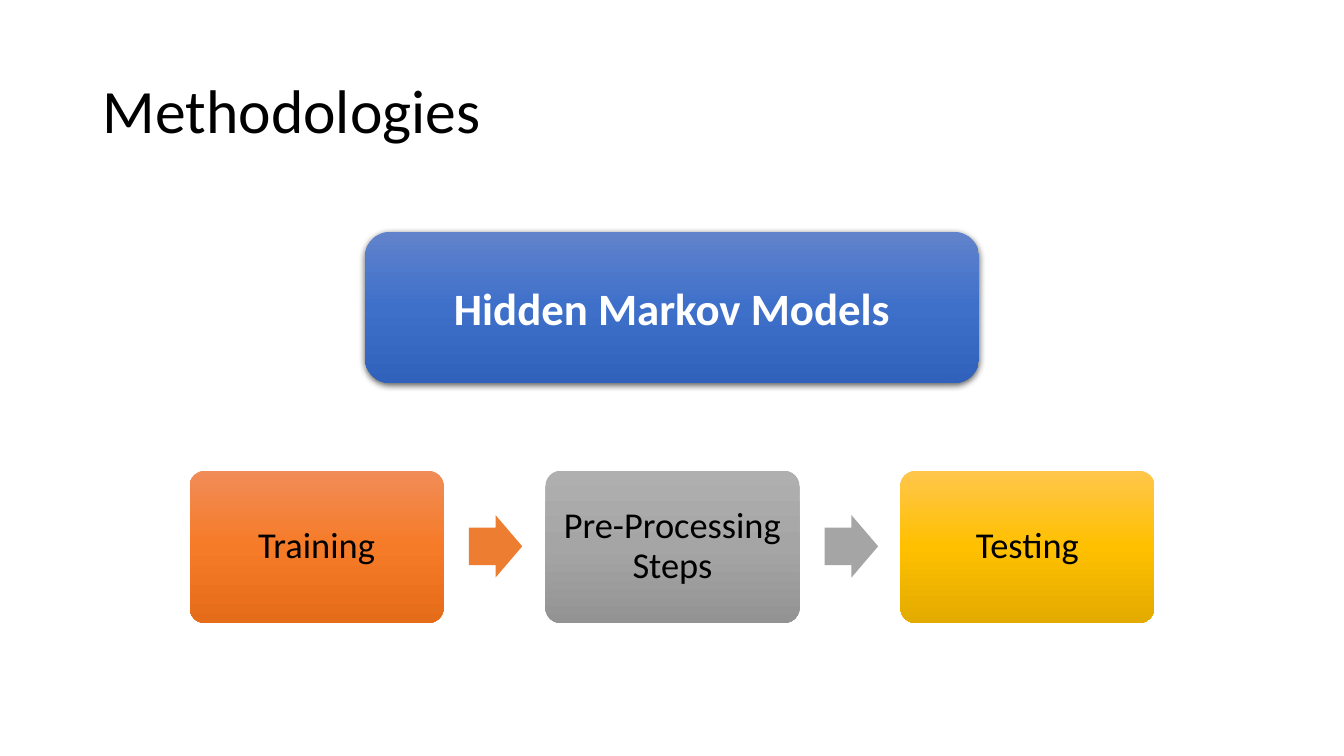
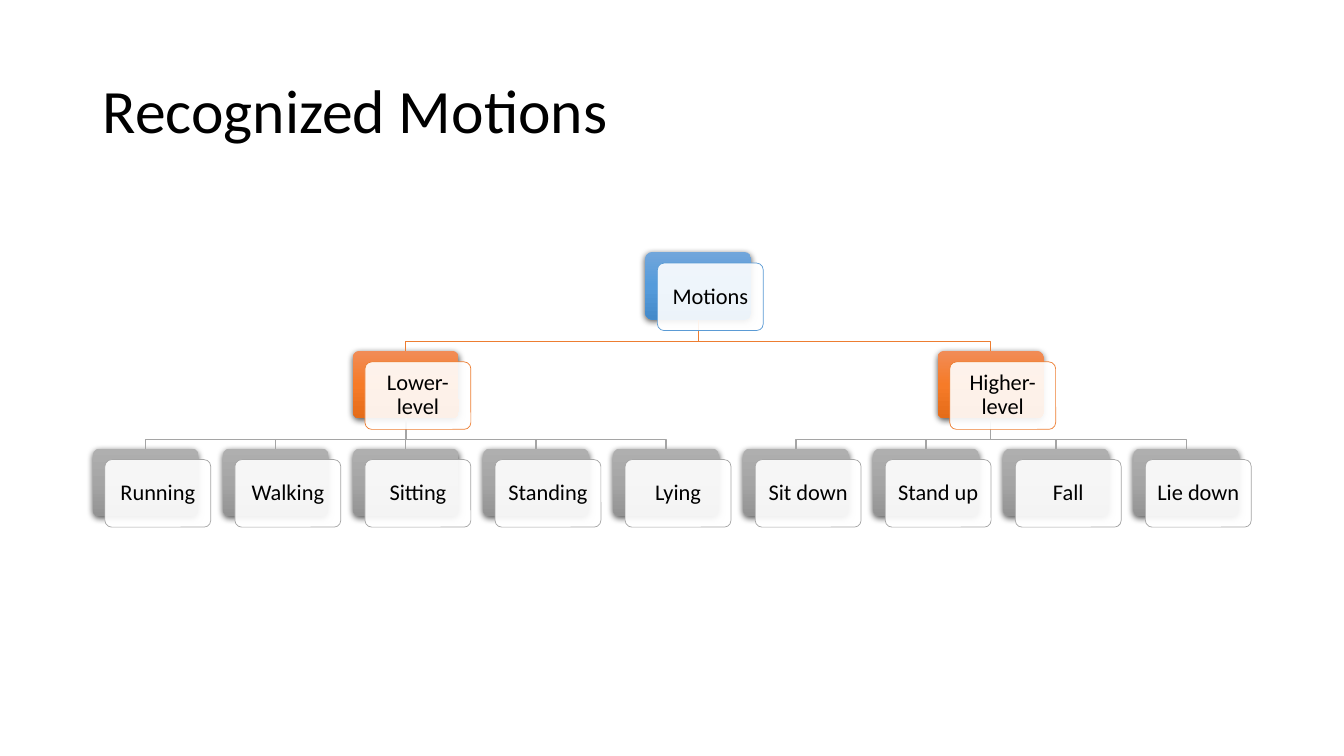
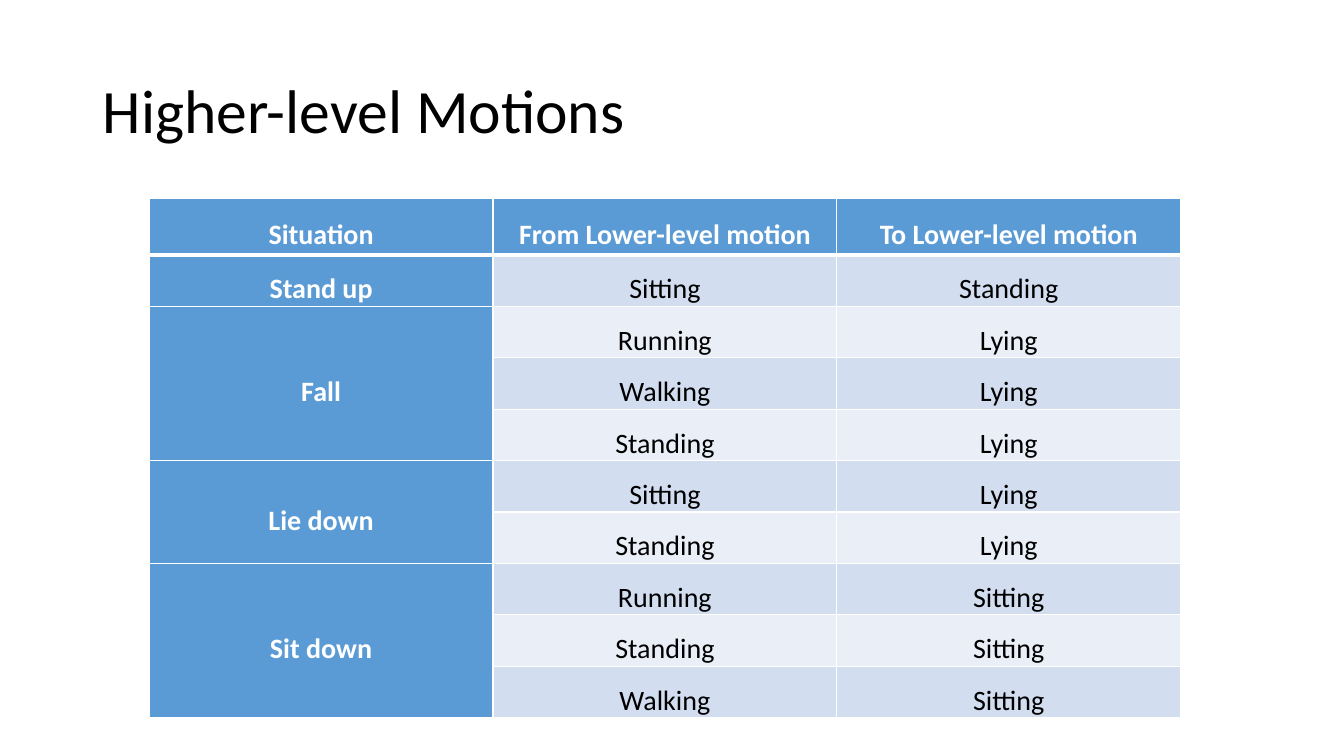
from lxml import etree
from pptx import Presentation
from pptx.dml.color import RGBColor
from pptx.enum.shapes import MSO_CONNECTOR, MSO_SHAPE
from pptx.enum.text import MSO_ANCHOR, PP_ALIGN
from pptx.oxml.ns import qn
from pptx.util import Pt

PX = 9144  # EMU per px, 100 px to the inch
FONT = "Calibri"
LEFT, CENTER = PP_ALIGN.LEFT, PP_ALIGN.CENTER
MIDDLE = MSO_ANCHOR.MIDDLE
ROUND, ARROW = MSO_SHAPE.ROUNDED_RECTANGLE, MSO_SHAPE.RIGHT_ARROW
STRAIGHT = MSO_CONNECTOR.STRAIGHT
TOP, BOTTOM = 0, 2

COLORS = {
    "black": "000000", "white": "FFFFFF",
    "blue": "5B9BD5", "orange": "ED7D31", "gray": "A5A5A5",
    "band": "D2DEEF", "pale": "EAEFF7",
}
GRADS = {
    "navy": ("6183CB", "3E70CA", "3062BB"),
    "blue": ("71A6DB", "559BDB", "448ACA"),
    "orange": ("F18C57", "F67B28", "E56C19"),
    "gray": ("AFAFAF", "A5A5A5", "939393"),
    "gold": ("FFC64B", "FFC000", "E3AB00"),
}

STEPS = [("Training", "orange"), ("Pre-Processing Steps", "gray"),
         ("Testing", "gold")]
MOTIONS = {
    "Lower-level": ["Running", "Walking", "Sitting", "Standing", "Lying"],
    "Higher-level": ["Sit down", "Stand up", "Fall", "Lie down"],
}
HEADS = ["Situation", "From Lower-level motion", "To Lower-level motion"]
CASES = {
    "Stand up": [("Sitting", "Standing")],
    "Fall": [("Running", "Lying"), ("Walking", "Lying"),
             ("Standing", "Lying")],
    "Lie down": [("Sitting", "Lying"), ("Standing", "Lying")],
    "Sit down": [("Running", "Sitting"), ("Standing", "Sitting"),
                 ("Walking", "Sitting")],
}


def rgb(name):
    return RGBColor.from_string(COLORS[name])


def px(*nums):
    return [n * PX for n in nums]


def write(box, text, size=20, color="black", bold=False, align=CENTER,
          space=0.9, inset=(10, 5)):
    """Fill a text frame or a table cell with one paragraph."""
    box.margin_left = box.margin_right = inset[0] * PX
    box.margin_top = box.margin_bottom = inset[1] * PX
    box.vertical_anchor = MIDDLE
    frame = getattr(box, "text_frame", box)
    frame.word_wrap = True
    para = frame.paragraphs[0]
    para.alignment, para.line_spacing = align, space
    run = para.add_run()
    run.text = text
    font = run.font
    font.name, font.size, font.bold = FONT, Pt(size), bold
    font.color.rgb = rgb(color)


def shape(slide, kind, area, fill, adjs=()):
    item = slide.shapes.add_shape(kind, *px(*area))
    for i, adj in enumerate(adjs):
        item.adjustments[i] = adj
    item.fill.solid()
    item.fill.fore_color.rgb = rgb(fill)
    item.line.fill.background()
    item.shadow.inherit = False
    return item


def shade(item, grad):
    """Three-stop gradient from top to bottom."""
    item.fill.gradient()
    item.fill.gradient_angle = 270
    stops = item._element.spPr.find(qn("a:gradFill")).find(qn("a:gsLst"))
    stops.clear()
    for pos, color in zip((0, 50000, 100000), GRADS[grad]):
        stop = etree.SubElement(stops, qn("a:gs"), pos=str(pos))
        etree.SubElement(stop, qn("a:srgbClr"), val=color)


def drop(item):
    """Soft shadow below the shape."""
    effects = item._element.spPr.find(qn("a:effectLst"))
    outer = etree.SubElement(effects, qn("a:outerShdw"), blurRad="57150",
                             dist="19050", dir="5400000", algn="ctr",
                             rotWithShape="0")
    tint = etree.SubElement(outer, qn("a:srgbClr"), val=COLORS["black"])
    etree.SubElement(tint, qn("a:alpha"), val="63000")


def tile(slide, area, grad, adjs=(0.1,), raised=False):
    item = shape(slide, ROUND, area, "white", adjs)
    shade(item, grad)
    if raised:
        drop(item)
    return item


def card(slide, area, text, color):
    """Nearly opaque white label on top of a tile."""
    item = shape(slide, ROUND, area, "white", (0.1,))
    tint = item._element.spPr.find(qn("a:solidFill"))[0]
    etree.SubElement(tint, qn("a:alpha"), val="90000")
    item.line.color.rgb = rgb(color)
    item.line.width = Pt(0.5)
    write(item.text_frame, text, size=16, inset=(8, 8))


def link(slide, head, child, color):
    """Line from the bottom of one tile to the top of another."""
    x1, y1 = head.left + head.width // 2, head.top + head.height
    x2, y2 = child.left + child.width // 2, child.top
    if x1 == x2:
        line = slide.shapes.add_connector(STRAIGHT, x1, y1, x2, y2)
        line.begin_connect(head, BOTTOM)
        line.end_connect(child, TOP)
        etree.SubElement(line._element.spPr, qn("a:effectLst"))
    else:
        bend = y2 - 9 * PX
        draft = slide.shapes.build_freeform(x1, y1)
        draft.add_line_segments([(x1, bend), (x2, bend), (x2, y2)],
                                close=False)
        line = draft.convert_to_shape()
        line.fill.background()
        line.shadow.inherit = False
    line.line.color.rgb = rgb(color)
    line.line.width = Pt(1)


def edge(cell, **widths):
    """White cell borders; widths in points by side."""
    props = cell._tc.get_or_add_tcPr()
    for side in "LRTB":
        width = Pt(widths.get(side, 1))
        line = etree.SubElement(props, qn("a:ln" + side), w=str(width))
        fill = etree.SubElement(line, qn("a:solidFill"))
        etree.SubElement(fill, qn("a:srgbClr"), val=COLORS["white"])


def start(deck, title):
    slide = deck.slides.add_slide(deck.slide_layouts[6])
    box = slide.shapes.add_textbox(*px(92, 40, 1150, 145))
    write(box.text_frame, title, size=44, align=LEFT)
    return slide


def methods(deck):
    slide = start(deck, "Methodologies")
    # Process row
    for i, (text, grad) in enumerate(STEPS):
        left = 188 + (i * 705 + 1) // 2
        box = tile(slide, (left, 467, 252, 151), grad)
        write(box.text_frame, text, size=26, inset=(11, 11))
        if i < len(STEPS) - 1:
            shape(slide, ARROW, (left + 277, 511, 53, 62), grad, (0.6, 0.5))
    # Main model
    box = tile(slide, (362, 230, 609, 150), "navy", adjs=(), raised=True)
    write(box.text_frame, "Hidden Markov Models", size=32, color="white",
          bold=True, space=1.0)


def motions(deck):
    slide = start(deck, "Recognized Motions")
    wide, high, step = 105, 67, 129
    nodes, links = [], []

    def node(text, left, top, color):
        box = tile(slide, (left, top, wide, high), color, raised=True)
        nodes.append((text, left, top, color))
        return box

    # Tiles, each parent centred over its children
    left, mids, heads = 92, [], []
    for group, names in MOTIONS.items():
        mid = left + step * (len(names) - 1) // 2
        head = node(group, mid, 348, "orange")
        for name in names:
            links.append((head, node(name, left, 445, "gray"), "gray"))
            left += step
        mids.append(mid)
        heads.append(head)
    root = node("Motions", sum(mids) // len(mids), 250, "blue")
    links += [(root, head, "orange") for head in heads]

    # Lines, then labels over them
    for head, child, color in links:
        link(slide, head, child, color)
    for text, left, top, color in nodes:
        card(slide, (left + 12, top + 11, wide, high), text, color)


def cases(deck):
    slide = start(deck, "Higher-level Motions")
    rows = [HEADS]
    spans = []
    for name, pairs in CASES.items():
        spans.append((len(rows), len(rows) + len(pairs) - 1))
        for i, pair in enumerate(pairs):
            rows.append(["" if i else name, *pair])
    frame = slide.shapes.add_table(len(rows), len(HEADS),
                                   *px(148, 197, 1023, 515))
    table = frame.table
    for col in table.columns:
        col.width = 341 * PX
    for r, row in enumerate(rows):
        table.rows[r].height = (51 if r else 56) * PX
        for c, text in enumerate(row):
            cell = table.cell(r, c)
            strong = r == 0 or c == 0
            edge(cell, T=3 if r == 1 else 1, B=1 if r else 3)
            cell.fill.solid()
            cell.fill.fore_color.rgb = rgb(
                "blue" if strong else "band" if r % 2 else "pale")
            if text:
                write(cell, text, color="white" if strong else "black",
                      bold=strong, space=1.5, inset=(7, 0))
    for first, last in spans:
        if last > first:
            table.cell(first, 0).merge(table.cell(last, 0))


def main():
    deck = Presentation()
    deck.slide_width, deck.slide_height = px(1333, 750)
    methods(deck)
    motions(deck)
    cases(deck)
    deck.save("out.pptx")


if __name__ == "__main__":
    main()
